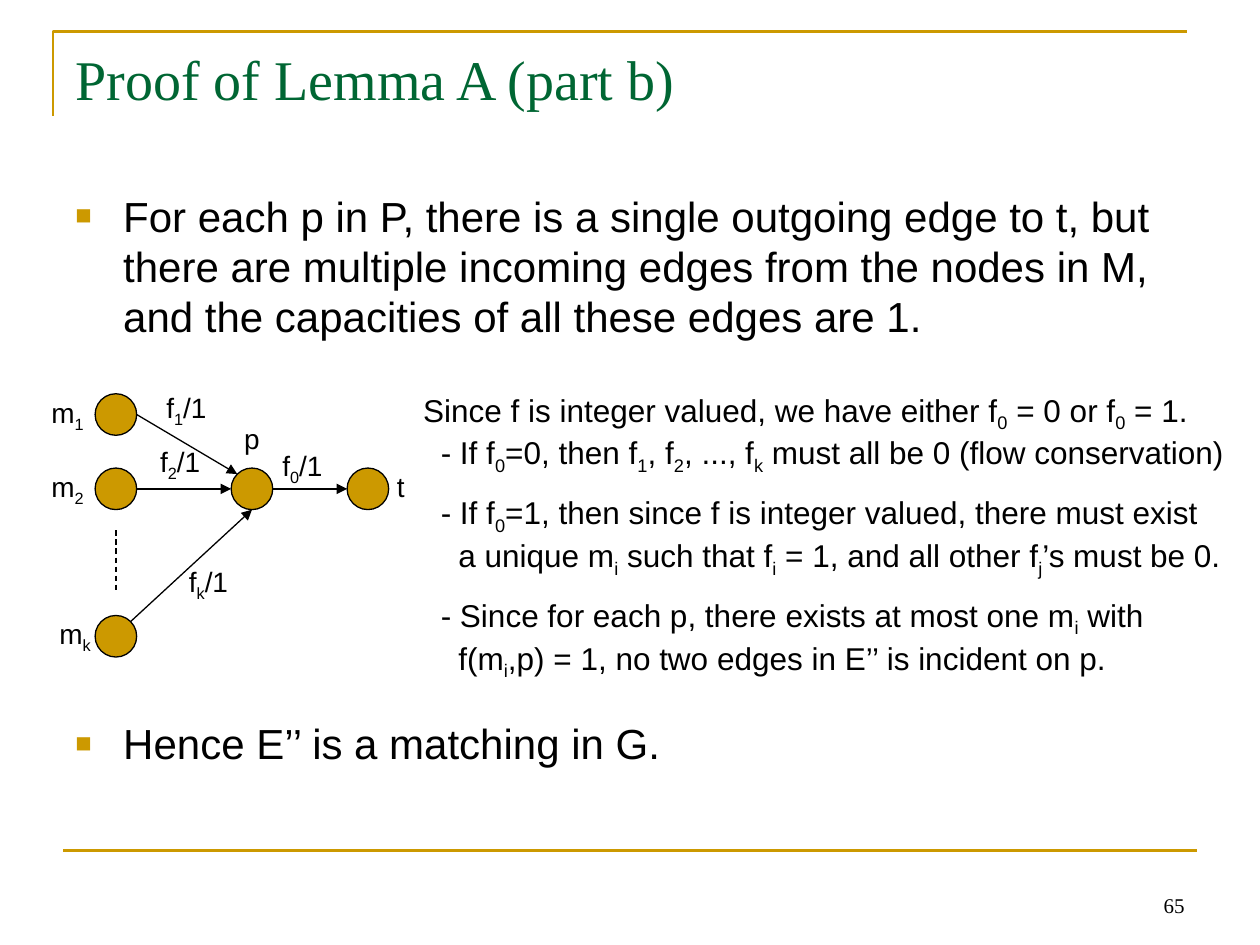
from dataclasses import dataclass

from lxml import etree
from pptx import Presentation
from pptx import util as u
from pptx.dml.color import RGBColor
from pptx.enum import dml, shapes, text
from pptx.oxml import ns

GOLD, GREEN, BLACK = "CC9900", "006633", "000000"
DIAMETER = 0.33
DIAGONAL = 0.71
RIGHT, LEFT, BOTTOM = (1, 0), (-1, 0), (0, 1)
TOP_LEFT, TOP_RIGHT = (-DIAGONAL, -DIAGONAL), (DIAGONAL, -DIAGONAL)


@dataclass
class Node:
    x: float
    y: float

    def rim(self, direction):
        return tuple(c + d * DIAMETER / 2 for c, d in zip((self.x, self.y), direction))


@dataclass
class Line:
    words: str
    margin: float = 0
    before: float = 0
    bullet: bool = False


@dataclass
class Block:
    left: float
    top: float
    width: float
    height: float
    lines: list[Line]
    size: float
    font: str = "Arial"
    color: str = BLACK
    align: text.PP_ALIGN = text.PP_ALIGN.LEFT
    anchor: text.MSO_ANCHOR = text.MSO_ANCHOR.TOP
    wrap: bool = True


@dataclass
class Label:
    words: str
    left: float
    top: float
    width: float
    height: float = 0.41


M_1, M_2, M_K = (Node(0.92, y) for y in (3.29, 3.88, 5.05))
P, T = Node(2, 3.88), Node(2.92, 3.88)
NODES = [T, P, M_2, M_1, M_K]
EDGES = [
    (M_1.rim(RIGHT), P.rim(TOP_LEFT)),
    (M_2.rim(RIGHT), P.rim(LEFT)),
    (M_K.rim(TOP_RIGHT), P.rim(BOTTOM)),
    (P.rim(RIGHT), T.rim(LEFT)),
]
LABELS = [
    Label("m_1", 0.28, 3.09, 0.51),
    Label("m_2", 0.28, 3.68, 0.51),
    Label("m_k", 0.34, 4.84, 0.51),
    Label("p", 1.83, 3.3, 0.34, 0.37),
    Label("t", 3.04, 3.68, 0.28, 0.37),
    Label("f_0/1", 2.12, 3.51, 0.56),
    Label("f_1/1", 1.2, 3.05, 0.56),
    Label("f_2/1", 1.15, 3.48, 0.56),
    Label("f_k/1", 1.38, 4.43, 0.55),
]
BLOCKS = [
    Block(7.17, 6.83, 2.33, 0.5, [Line("65")], 12, "Times New Roman",
          align=text.PP_ALIGN.RIGHT, anchor=text.MSO_ANCHOR.BOTTOM),
    Block(0.5, 0.3, 9, 1.25, [Line("Proof of Lemma A (part b)")], 32,
          "Times New Roman", GREEN),
    Block(0.5, 1.46, 9, 4.95, [
        Line("For each p in P, there is a single outgoing edge to t, but there are "
             "multiple incoming edges from the nodes in M, and the capacities of all "
             "these edges are 1.", 0.38, bullet=True),
        Line("Hence E’’ is a matching in G.", 0.38, 215, True),
    ], 24),
    Block(3.26, 3.05, 6.55, 2.41, [
        Line("Since f is integer valued, we have either f_0 = 0 or f_0 = 1."),
        Line("- If f_0=0, then f_1, f_2, ..., f_k must all be 0 (flow conservation)", 0.14),
        Line("- If f_0=1, then since f is integer valued, there must exist", 0.14, 9.5),
        Line("a unique m_i such that f_i = 1, and all other f_j’s must be 0.", 0.28),
        Line("- Since for each p, there exists at most one m_i with", 0.14, 9.5),
        Line("f(m_i,p) = 1, no two edges in E’’ is incident on p.", 0.28),
    ], 18, wrap=False),
]


def rgb(value: str) -> RGBColor:
    return RGBColor.from_string(value)


def add_bullet(properties) -> None:
    color = etree.SubElement(properties, ns.qn("a:buClr"))
    etree.SubElement(color, ns.qn("a:srgbClr"), val=GOLD)
    etree.SubElement(properties, ns.qn("a:buSzPct"), val="65000")
    etree.SubElement(properties, ns.qn("a:buFont"), typeface="Arial")
    etree.SubElement(properties, ns.qn("a:buChar"), char="■")


def add_words(paragraph, words: str) -> None:
    """Write words, lowering each character that follows an underscore."""
    first, *rest = words.split("_")
    paragraph.add_run().text = first
    for piece in rest:
        subscript = paragraph.add_run()
        subscript.text = piece[0]
        subscript._r.get_or_add_rPr().set("baseline", "-25000")
        if piece[1:]:
            paragraph.add_run().text = piece[1:]


def add_block(slide, block: Block) -> None:
    box = slide.shapes.add_textbox(
        *map(u.Inches, (block.left, block.top, block.width, block.height)))
    frame = box.text_frame
    frame.word_wrap = block.wrap
    frame.vertical_anchor = block.anchor
    for index, line in enumerate(block.lines):
        paragraph = frame.paragraphs[0] if index == 0 else frame.add_paragraph()
        paragraph.alignment = block.align
        if line.before:
            paragraph.space_before = u.Pt(line.before)
        properties = paragraph._p.get_or_add_pPr()
        properties.set("marL", str(u.Inches(line.margin)))
        properties.set("indent", str(u.Inches(-line.margin if line.bullet else 0)))
        if line.bullet:
            add_bullet(properties)
        paragraph.font.size = u.Pt(block.size)
        paragraph.font.name = block.font
        paragraph.font.color.rgb = rgb(block.color)
        add_words(paragraph, line.words)


def add_node(slide, node: Node) -> None:
    left, top = node.x - DIAMETER / 2, node.y - DIAMETER / 2
    shape = slide.shapes.add_shape(
        shapes.MSO_SHAPE.OVAL, *map(u.Inches, (left, top, DIAMETER, DIAMETER)))
    shape.shadow.inherit = False
    shape.fill.solid()
    shape.fill.fore_color.rgb = rgb(GOLD)
    shape.line.color.rgb = rgb(BLACK)
    shape.line.width = u.Pt(0.75)


def add_line(slide, start, end, color=BLACK, width=0.75, arrow=False):
    connector = slide.shapes.add_connector(
        shapes.MSO_CONNECTOR.STRAIGHT, *map(u.Inches, (*start, *end)))
    connector.line.color.rgb = rgb(color)
    connector.line.width = u.Pt(width)
    if arrow:
        etree.SubElement(connector.line._get_or_add_ln(), ns.qn("a:tailEnd"), type="triangle")
    etree.SubElement(connector._element.spPr, ns.qn("a:effectLst"))
    return connector


def add_corner_rule(slide) -> None:
    builder = slide.shapes.build_freeform(u.Inches(0.42), u.Inches(0.92))
    corner = [(u.Inches(0.42), u.Inches(0.25)), (u.Inches(9.42), u.Inches(0.25))]
    builder.add_line_segments(corner, close=False)
    rule = builder.convert_to_shape()
    rule.shadow.inherit = False
    rule.fill.background()
    rule.line.color.rgb = rgb(GOLD)
    rule.line.width = u.Pt(1.5)


def main() -> None:
    presentation = Presentation()
    presentation.slide_width, presentation.slide_height = u.Inches(10), u.Inches(7.5)
    slide = presentation.slides.add_slide(presentation.slide_layouts[6])
    add_corner_rule(slide)
    add_line(slide, (0.5, 6.75), (9.5, 6.75), GOLD, 1.5)
    for block in BLOCKS:
        add_block(slide, block)
    for node in NODES:
        add_node(slide, node)
    for label in LABELS:
        add_block(slide, Block(label.left, label.top, label.width, label.height,
                               [Line(label.words)], 16,
                               align=text.PP_ALIGN.CENTER, wrap=False))
    ellipsis = add_line(slide, (M_2.x, 4.21), (M_2.x, 4.71))
    ellipsis.line.dash_style = dml.MSO_LINE.DASH
    for start, end in EDGES:
        add_line(slide, start, end, arrow=True)
    presentation.save("out.pptx")


if __name__ == "__main__":
    main()
